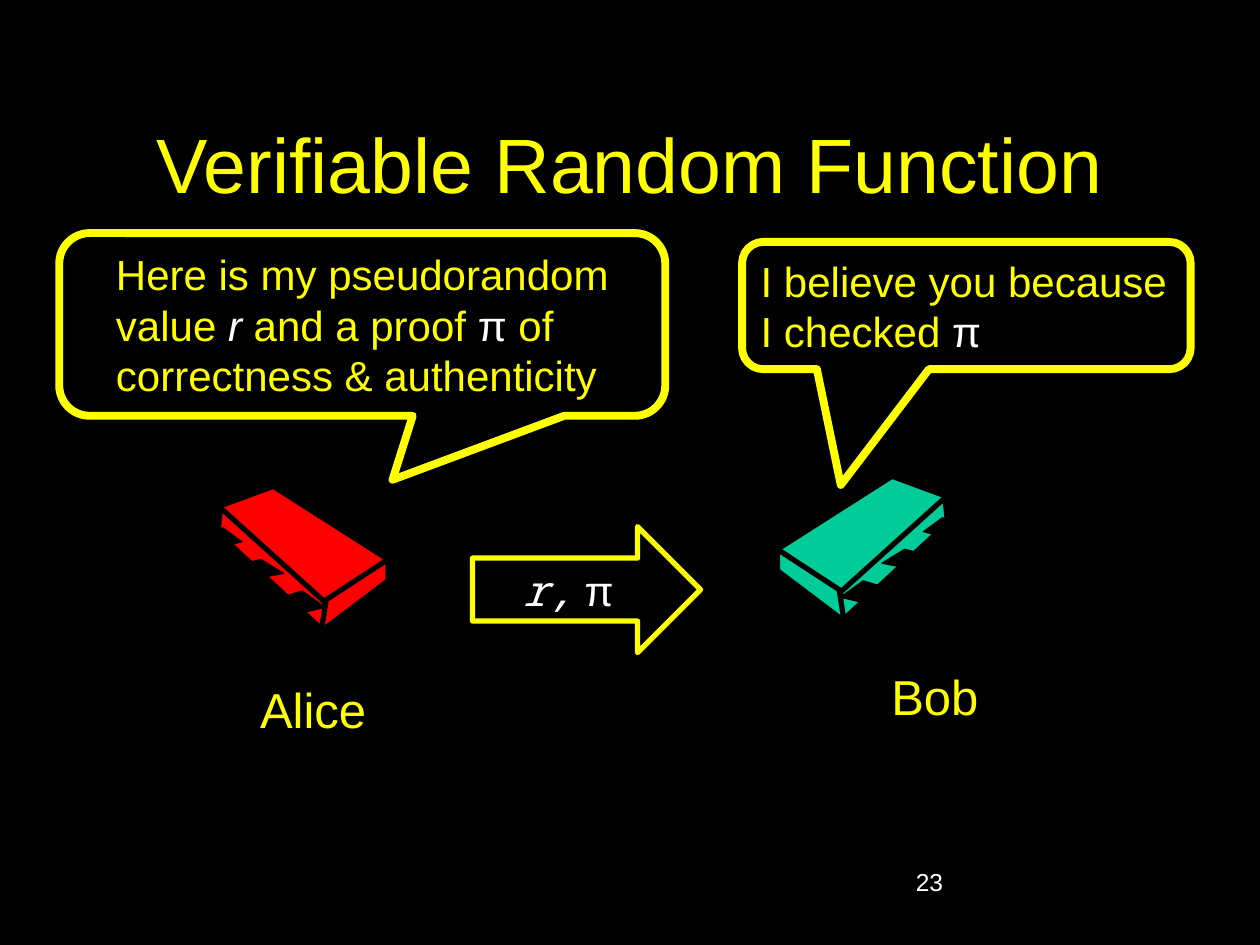
"""Build the slide on verifiable random functions, with Alice sending a value and proof to Bob."""
import pptx
import pptx.util
import pptx.dml.color
import pptx.enum.shapes
import pptx.enum.text

PX = 9144
YELLOW, WHITE, BLACK = "FFFF00", "FFFFFF", "000000"
PRESET = pptx.enum.shapes.MSO_SHAPE
ALIGN = pptx.enum.text.PP_ALIGN
ANCHOR = pptx.enum.text.MSO_ANCHOR


def color(hex_code):
    return pptx.dml.color.RGBColor.from_string(hex_code)


def write(frame, runs, size=24, align=ALIGN.LEFT, anchor=ANCHOR.MIDDLE, wrap=True, left=10, right=10):
    frame.word_wrap = wrap
    frame.vertical_anchor = anchor
    frame.margin_left, frame.margin_right = left * PX, right * PX
    frame.margin_top = frame.margin_bottom = 5 * PX
    paragraph = frame.paragraphs[0]
    paragraph.alignment = align
    for text, hex_code, italic, font_name in runs:
        run = paragraph.add_run()
        run.text = text
        run.font.size = pptx.util.Pt(size)
        run.font.name = font_name
        run.font.italic = italic
        run.font.color.rgb = color(hex_code)


deck = pptx.Presentation()
deck.slide_width, deck.slide_height = 1000 * PX, 750 * PX
slide = deck.slides.add_slide(deck.slide_layouts[5])
slide.background.fill.solid()
slide.background.fill.fore_color.rgb = color(BLACK)

title = slide.shapes.title
title.left, title.top, title.width, title.height = 75 * PX, 67 * PX, 850 * PX, 125 * PX
write(title.text_frame, [("Verifiable Random Function", YELLOW, False, "Arial")], size=44, align=ALIGN.CENTER)

page_number = slide.shapes.add_textbox(717 * PX, 683 * PX, 208 * PX, 50 * PX)
write(page_number.text_frame, [("23", WHITE, False, "Arial")], size=14, anchor=ANCHOR.TOP)

bob_says = [("I believe you because I checked ", YELLOW, False, "Arial"), ("π", WHITE, False, "Arial")]
alice_says = [
    ("Here is my pseudorandom value ", YELLOW, False, "Arial"),
    ("r", WHITE, True, "Arial"),
    (" and a proof ", YELLOW, False, "Arial"),
    ("π", WHITE, False, "Arial"),
    (" of correctness & authenticity", YELLOW, False, "Arial"),
]
for (x, y, w, h), tip, words, indent in [
    ((589, 192, 356, 101), (-0.28, 1.41), bob_says, 10),
    ((47, 185, 481, 145), (0.05, 0.85), alice_says, 38),
]:
    speech = slide.shapes.add_shape(PRESET.ROUNDED_RECTANGULAR_CALLOUT, x * PX, y * PX, w * PX, h * PX)
    speech.adjustments[0], speech.adjustments[1] = tip
    speech.shadow.inherit = False
    speech.fill.solid()
    speech.fill.fore_color.rgb = color(BLACK)
    speech.line.color.rgb = color(YELLOW)
    speech.line.width = pptx.util.Pt(4.5)
    write(speech.text_frame, words, left=indent)

for name, x, y, w in [("Alice", 196, 534, 105), ("Bob", 697, 524, 90)]:
    person = slide.shapes.add_shape(PRESET.RECTANGLE, x * PX, y * PX, w * PX, 57 * PX)
    person.shadow.inherit = False
    person.fill.solid()
    person.fill.fore_color.rgb = color(BLACK)
    person.line.fill.background()
    write(person.text_frame, [(name, YELLOW, False, "Arial")],
          size=28, align=ALIGN.CENTER, anchor=ANCHOR.TOP, wrap=False)

back_pins = [
    [(633, 428), (617, 420), (608, 428), (608, 478), (617, 470), (617, 436), (633, 445)],
    [(670, 403), (653, 395), (645, 403), (645, 453), (653, 445), (653, 411), (670, 420)],
    [(708, 385), (692, 378), (683, 385), (683, 428), (692, 421), (692, 392), (708, 399)],
]
faces = [
    [(708, 378), (617, 436), (668, 471), (754, 395)],
    [(750, 395), (667, 470), (668, 493), (752, 415)],
    [(617, 436), (617, 453), (670, 493), (666, 468)],
]
front_pins = [
    [(685, 461), (667, 474), (697, 481), (697, 520), (708, 507), (708, 468)],
    [(718, 436), (700, 447), (730, 453), (730, 486), (742, 475), (742, 442)],
    [(748, 411), (733, 422), (757, 428), (757, 461), (767, 450), (767, 417)],
]
for chip_color, mirror, origin, drop in [("00CC99", 1, 0, 0), ("FF0000", -1, 925, 8)]:
    chip = slide.shapes.add_group_shape()
    for outlines, fill_color, line_width in [
        (back_pins, BLACK, 0.75), (faces, chip_color, 3), (front_pins, BLACK, 0.75)
    ]:
        for outline in outlines:
            points = [(origin + mirror * x, y + drop) for x, y in outline]
            builder = chip.shapes.build_freeform(*points[0], scale=PX)
            builder.add_line_segments(points[1:], close=True)
            part = builder.convert_to_shape()
            part.shadow.inherit = False
            part.fill.solid()
            part.fill.fore_color.rgb = color(fill_color)
            part.line.color.rgb = color(BLACK)
            part.line.width = pptx.util.Pt(line_width)

message = slide.shapes.add_shape(PRESET.RIGHT_ARROW, 375 * PX, 418 * PX, 181 * PX, 100 * PX)
message.shadow.inherit = False
message.fill.solid()
message.fill.fore_color.rgb = color(BLACK)
message.line.color.rgb = color(YELLOW)
message.line.width = pptx.util.Pt(3)
write(message.text_frame, [("r,", WHITE, True, "Noto Sans Mono"), (" π", WHITE, False, "Arial")],
      align=ALIGN.RIGHT, right=44)

deck.save("out.pptx")
